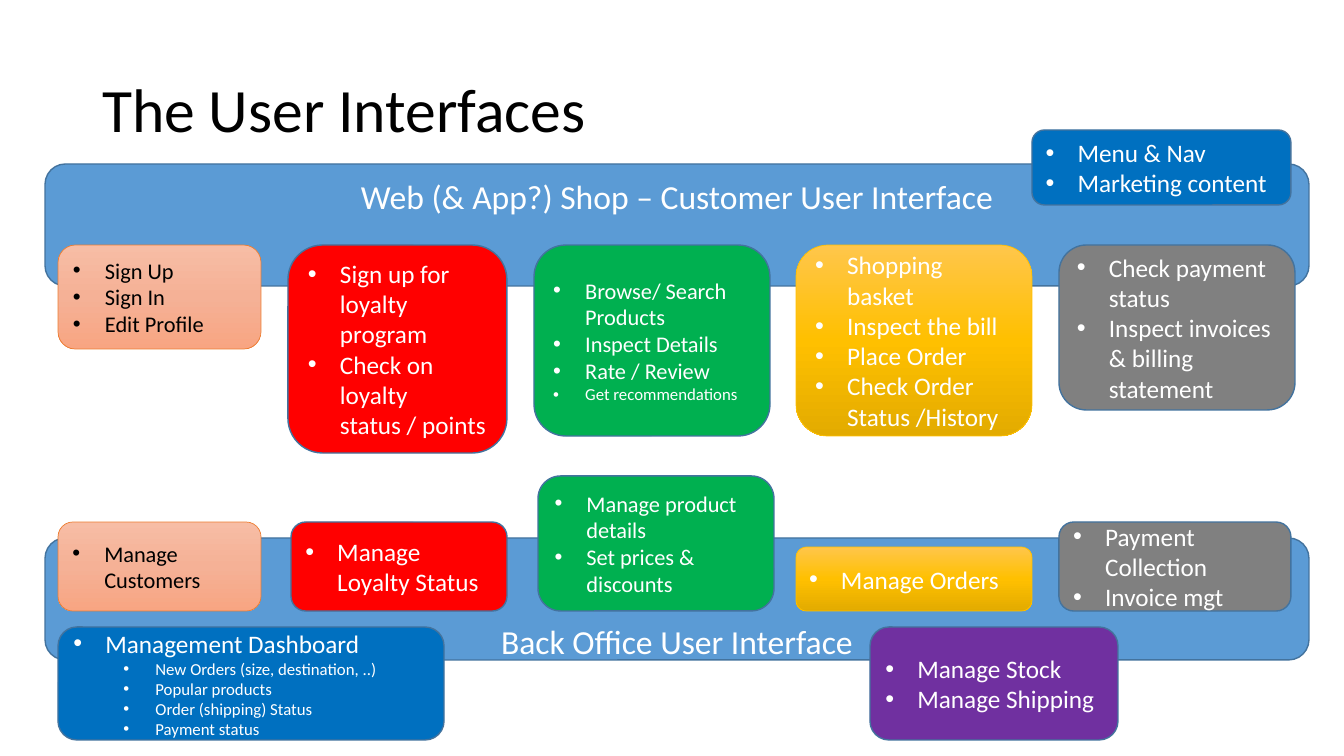
from copy import deepcopy

from pptx import Presentation
from pptx.dml.color import RGBColor
from pptx.enum.shapes import MSO_SHAPE
from pptx.enum.text import MSO_ANCHOR as Anchor, PP_ALIGN as Align
from pptx.oxml.ns import qn
from pptx.util import Pt

# Content
FONT = "Calibri"
TITLE = "The User Interfaces"
# text, top, inset above the text
SHOP_BAND = ("Web (& App?) Shop – Customer User Interface", 164, 6)
OFFICE_BAND = ("Back Office User Interface", 538, 77)

# fill (one colour or gradient stops), line colour, line width, text colour
BAND_STYLE = ("5B9BD5", "43739E", 1, "FFFFFF")
PEACH = (("F7BDA5", "F5B196", "F8A582"), "ED7D31", 0.5, "000000")
GOLD = (("FFC64B", "FFC000", "E3AB00"), "FFC000", 0.5, "FFFFFF")
RED, GREEN, GREY, BLUE, PURPLE = (
    (fill, "43739E", 1, "FFFFFF")
    for fill in ("FF0000", "00B050", "808080", "0070C0", "7030A0")
)

# left, width, height, style, text size, items; an item may be
# (text, level, size) where it differs from its card
CUSTOMER_CARDS = [
    (58, 203, 104, PEACH, 16, ["Sign Up", "Sign In", "Edit Profile"]),
    (534, 236, 191, GREEN, 16, ["Browse/ Search Products", "Inspect Details",
                                "Rate / Review", ("Get recommendations", 0, 12)]),
    (796, 236, 191, GOLD, 18, ["Shopping basket", "Inspect the bill",
                               "Place Order", "Check Order Status /History"]),
    (1059, 236, 165, GREY, 18, ["Check payment status",
                                "Inspect invoices & billing statement"]),
    (288, 219, 208, RED, 18, ["Sign up for loyalty program",
                              "Check on loyalty status / points"]),
]
OFFICE_CARDS = [
    (538, 236, 135, GREEN, 16, ["Manage product details", "Set prices & discounts"]),
    (796, 236, 64, GOLD, 18, ["Manage Orders"]),
    (1059, 232, 89, GREY, 18, ["Payment Collection", "Invoice mgt"]),
    (58, 203, 89, PEACH, 16, ["Manage Customers"]),
    (291, 216, 89, RED, 18, ["Manage Loyalty Status"]),
]
LOWER_CARDS = [
    (870, 248, 113, PURPLE, 18, ["Manage Stock", "Manage Shipping"]),
    (58, 386, 113, BLUE, 18, ["Management Dashboard",
                              ("New Orders (size, destination, ..)", 1, 12),
                              ("Popular products", 1, 12),
                              ("Order (shipping) Status", 1, 12),
                              ("Payment status", 1, 12)]),
]
MENU_CARD = (1032, 259, 75, BLUE, 18, ["Menu & Nav", "Marketing content"])

# Layout in px
SLIDE_WIDTH, SLIDE_HEIGHT = 1344, 756
BAND_LEFT, BAND_WIDTH, BAND_HEIGHT = 45, 1264, 122
CUSTOMER_TOP, OFFICE_BOTTOM, LOWER_TOP, MENU_TOP = 245, 611, 627, 130
BULLET_INDENT, LEVEL_INDENT = 32, 50
EMU_PER_PX = 12192000 / SLIDE_WIDTH


def px(length):
    return round(length * EMU_PER_PX)


def color(hex_string):
    return RGBColor.from_string(hex_string)


def fill_gradient(shape, colors):
    shape.fill.gradient()
    shape.fill.gradient_angle = 270
    stop_list = shape.element.spPr.find(".//" + qn("a:gsLst"))
    stop_list.insert(1, deepcopy(stop_list[0]))
    for index, stop in enumerate(shape.fill.gradient_stops):
        stop.color.rgb = color(colors[index])
        stop.position = index / 2


def add_box(slide, left, top, width, height, style):
    fill, line, line_width, _ = style
    shape = slide.shapes.add_shape(
        MSO_SHAPE.ROUNDED_RECTANGLE, px(left), px(top), px(width), px(height))
    shape.shadow.inherit = False
    if isinstance(fill, tuple):
        fill_gradient(shape, fill)
    else:
        shape.fill.solid()
        shape.fill.fore_color.rgb = color(fill)
    shape.line.color.rgb = color(line)
    shape.line.width = Pt(line_width)
    shape.text_frame.word_wrap = True
    return shape


def set_text(paragraph, text, size, text_color, alignment):
    paragraph.text = text
    paragraph.alignment = alignment
    paragraph.font.name = FONT
    paragraph.font.size = Pt(size)
    paragraph.font.color.rgb = color(text_color)


def add_bullet(paragraph, level):
    paragraph.level = level
    properties = paragraph._p.get_or_add_pPr()
    properties.set("marL", str(px(BULLET_INDENT + level * LEVEL_INDENT)))
    properties.set("indent", str(px(-BULLET_INDENT)))
    for tag, name, value in (("a:buFont", "typeface", "Arial"),
                             ("a:buChar", "char", "•")):
        bullet = properties.makeelement(qn(tag), {name: value})
        properties.insert_element_before(bullet, "a:tabLst", "a:defRPr", "a:extLst")


def add_band(slide, text, top, inset):
    frame = add_box(slide, BAND_LEFT, top, BAND_WIDTH, BAND_HEIGHT, BAND_STYLE).text_frame
    frame.vertical_anchor = Anchor.TOP
    frame.margin_top, frame.margin_bottom = px(inset), 0
    set_text(frame.paragraphs[0], text, 24, BAND_STYLE[3], Align.CENTER)


def add_card(slide, card, top):
    left, width, height, style, card_size, items = card
    frame = add_box(slide, left, top, width, height, style).text_frame
    frame.vertical_anchor = Anchor.MIDDLE
    for index, item in enumerate(items):
        text, level, size = item if isinstance(item, tuple) else (item, 0, card_size)
        paragraph = frame.add_paragraph() if index else frame.paragraphs[0]
        set_text(paragraph, text, size, style[3], Align.LEFT)
        add_bullet(paragraph, level)


def main():
    presentation = Presentation()
    presentation.slide_width = px(SLIDE_WIDTH)
    presentation.slide_height = px(SLIDE_HEIGHT)
    slide = presentation.slides.add_slide(presentation.slide_layouts[5])

    # Title
    title = slide.shapes.title
    title.left, title.top, title.width, title.height = map(px, (92, 40, 1159, 146))
    title.text_frame.vertical_anchor = Anchor.MIDDLE
    set_text(title.text_frame.paragraphs[0], TITLE, 44, "000000", Align.LEFT)
    title.text_frame.paragraphs[0].line_spacing = 0.9

    # Customer side: cards hang from a shared top
    add_band(slide, *SHOP_BAND)
    for card in CUSTOMER_CARDS:
        add_card(slide, card, CUSTOMER_TOP)

    # Back office: cards stand on a shared bottom
    add_band(slide, *OFFICE_BAND)
    for card in OFFICE_CARDS:
        add_card(slide, card, OFFICE_BOTTOM - card[2])
    for card in LOWER_CARDS:
        add_card(slide, card, LOWER_TOP)

    # Site-wide menu
    add_card(slide, MENU_CARD, MENU_TOP)

    presentation.save("out.pptx")


if __name__ == "__main__":
    main()
